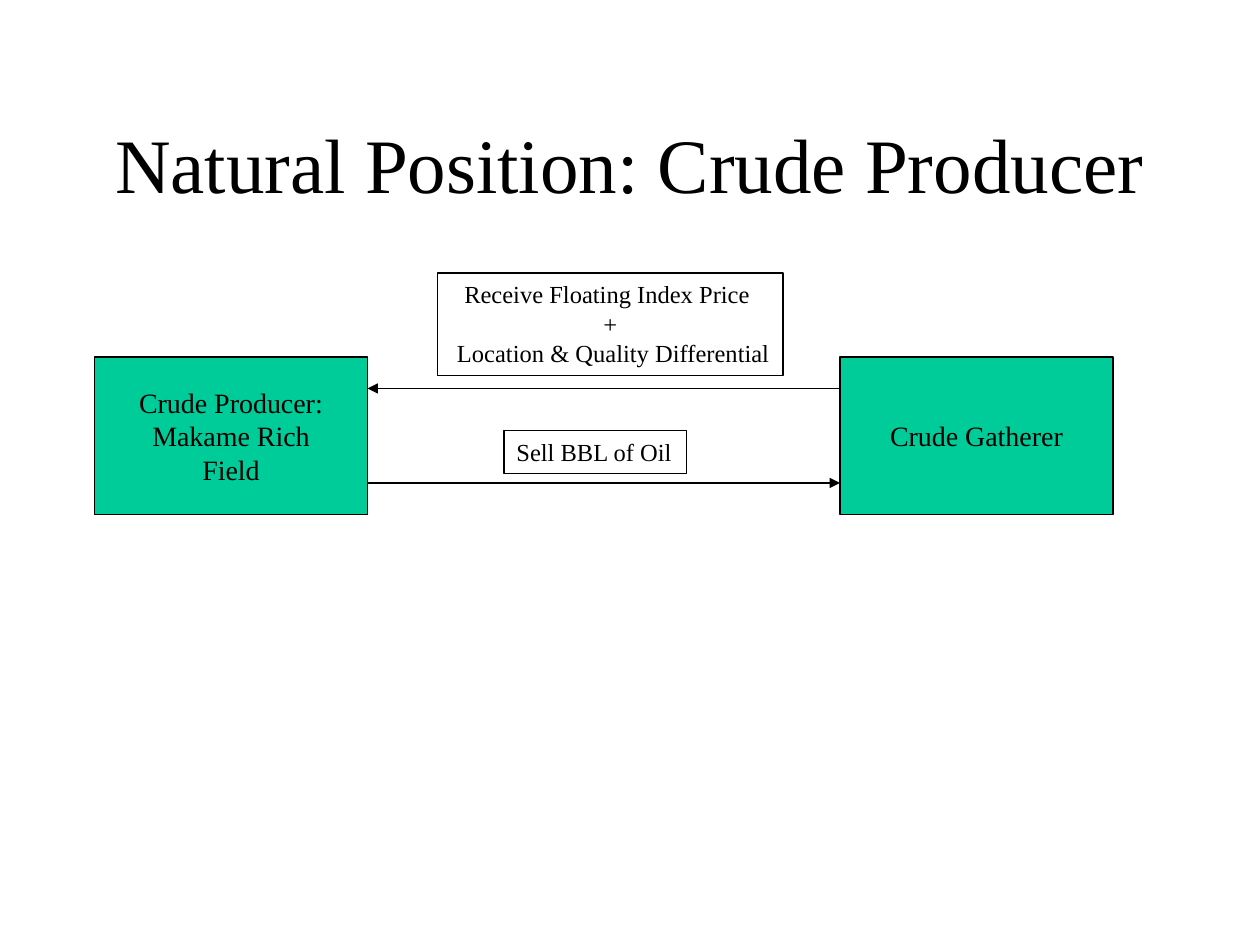
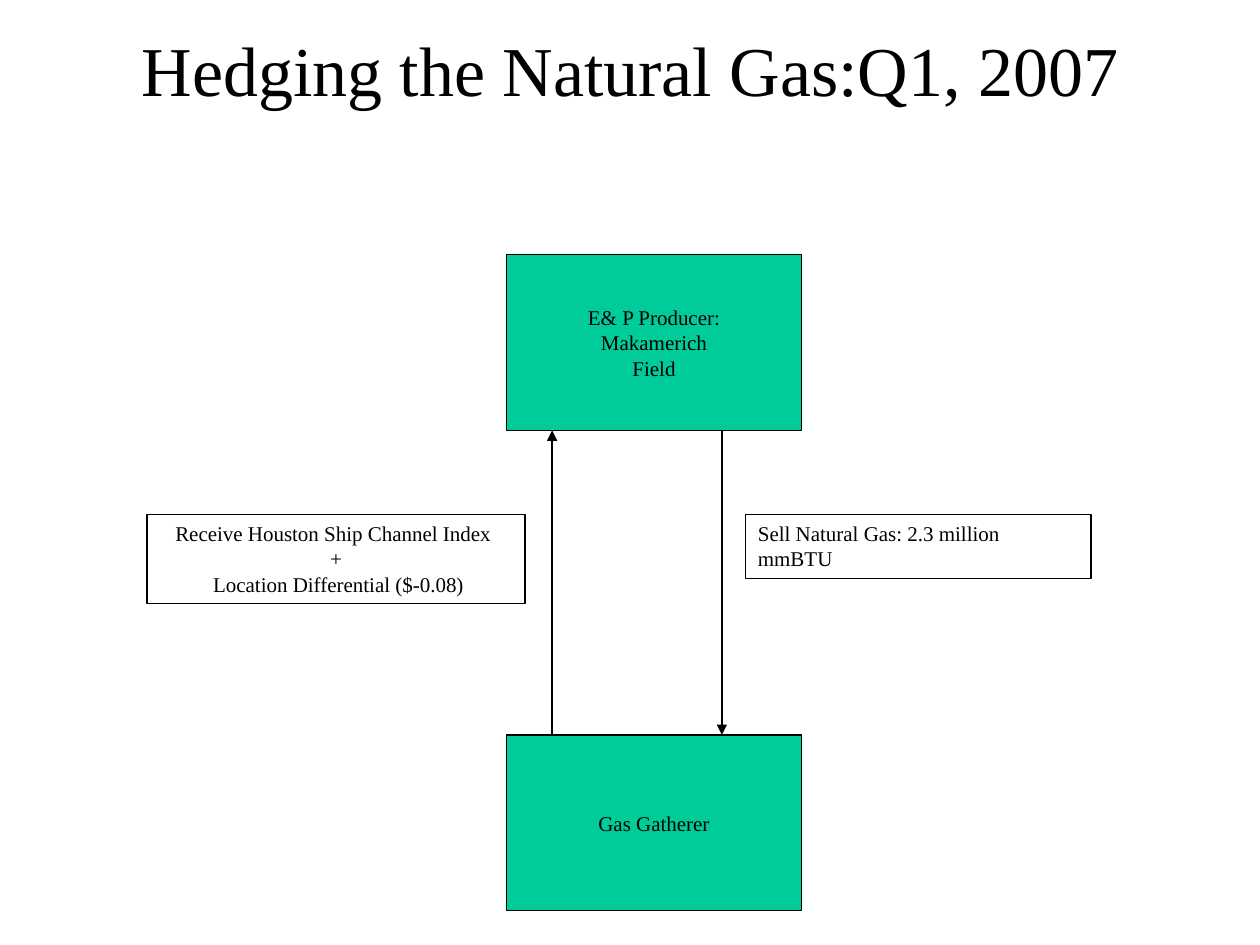
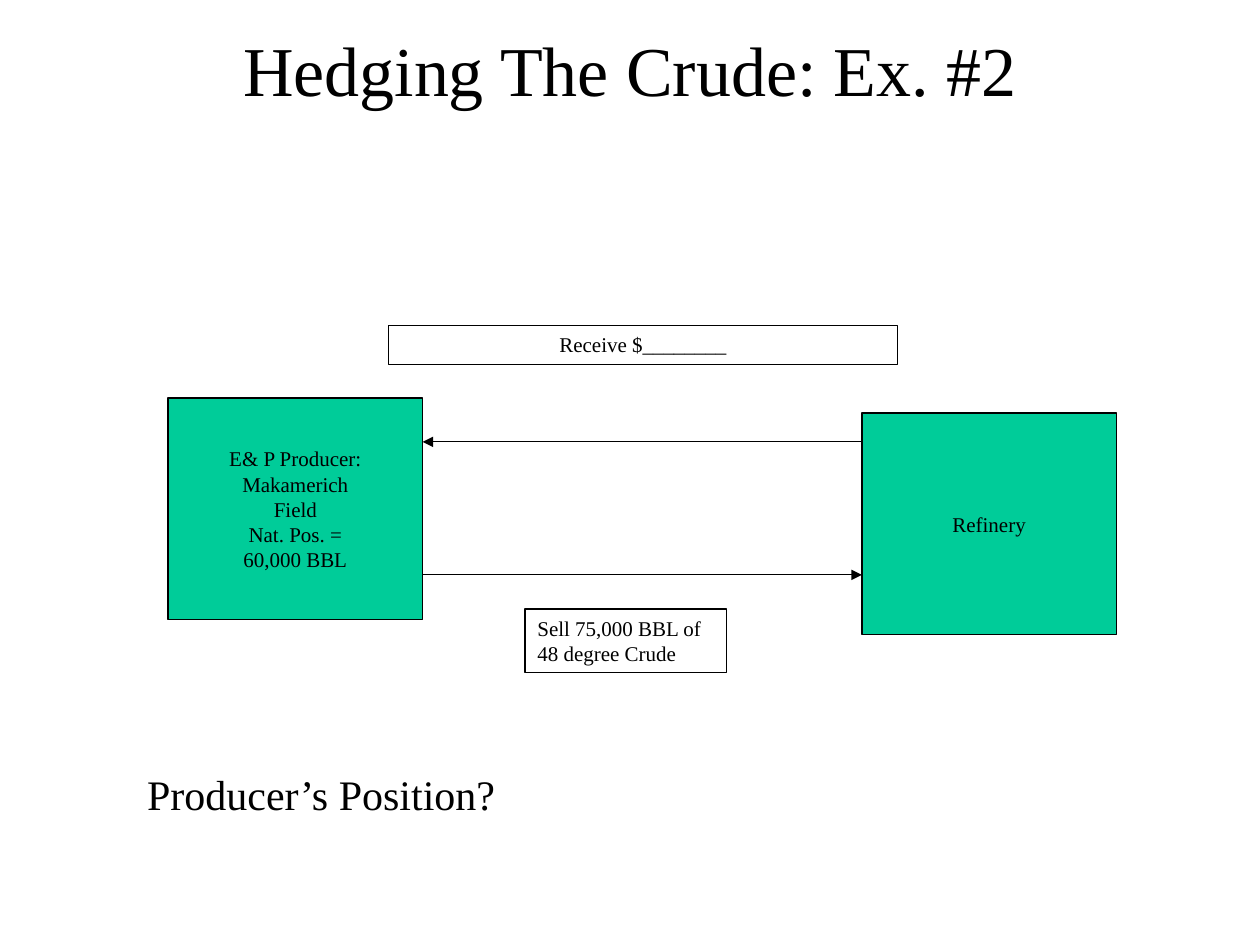
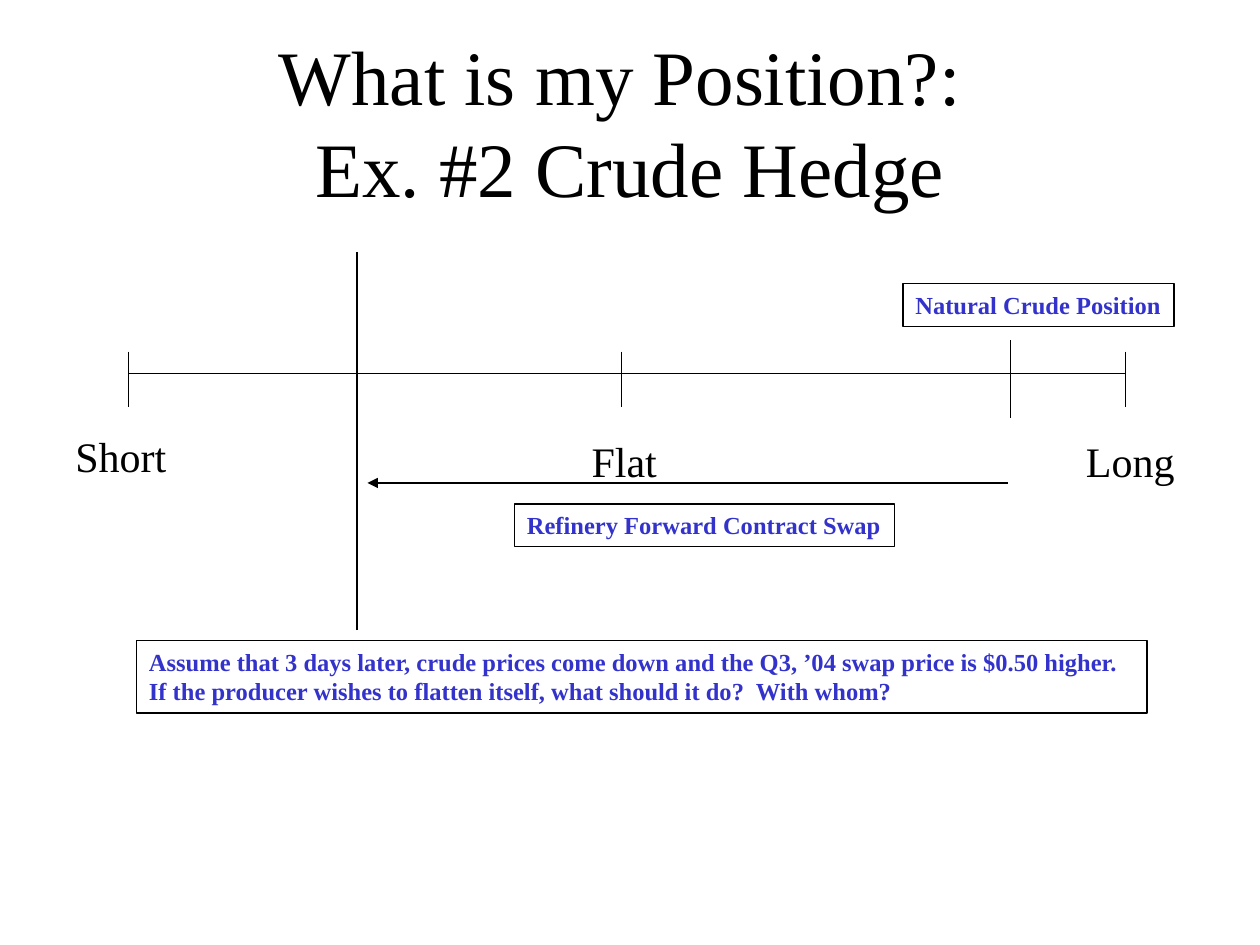
from dataclasses import dataclass

from lxml import etree
from pptx import Presentation
from pptx.dml.color import RGBColor
from pptx.enum.shapes import MSO_CONNECTOR, MSO_SHAPE
from pptx.enum.text import MSO_ANCHOR, MSO_AUTO_SIZE, PP_ALIGN
from pptx.oxml.ns import qn
from pptx.util import Pt

STRAIGHT = MSO_CONNECTOR.STRAIGHT
RECTANGLE = MSO_SHAPE.RECTANGLE
TOP, MIDDLE = MSO_ANCHOR.TOP, MSO_ANCHOR.MIDDLE
FIXED, FIT_SHAPE = MSO_AUTO_SIZE.NONE, MSO_AUTO_SIZE.SHAPE_TO_FIT_TEXT
LEFT, CENTER = PP_ALIGN.LEFT, PP_ALIGN.CENTER
TITLE_ONLY = 5


@dataclass(frozen=True)
class Theme:
    """Colours, font and sizes shared by all slides."""

    font: str = "Times New Roman"
    ink: RGBColor = RGBColor(0x00, 0x00, 0x00)
    party: RGBColor = RGBColor(0x00, 0xCC, 0x99)
    accent: RGBColor = RGBColor(0x33, 0x33, 0xCC)
    title_large: int = 44
    title: int = 40
    caption: int = 24
    party_large: int = 16
    label: int = 14
    small: int = 12
    line: float = 0.75


THEME = Theme()
FULL_TITLE = (54, 48, 612, 90)
UPPER_TITLE = (54, 24, 612, 90)
TOP_TITLE = (0, 0, 720, 78)


def points(values):
    """Convert a sequence of numbers to point lengths."""
    return [Pt(value) for value in values]


def write(shape, text, size, align=LEFT, color=THEME.ink, bold=False):
    """Fill a shape with text, one paragraph per line, and format its runs."""
    shape.text_frame.text = text
    for paragraph in shape.text_frame.paragraphs:
        paragraph.alignment = align
        for run in paragraph.runs:
            run.font.name = THEME.font
            run.font.size = Pt(size)
            run.font.bold = bold
            run.font.color.rgb = color


def outline(shape):
    """Give a shape or connector the thin black line."""
    shape.line.color.rgb = THEME.ink
    shape.line.width = Pt(THEME.line)


def add_titled_slide(presentation, text, box, size):
    """Add a title-only slide with its title placed and formatted."""
    slide = presentation.slides.add_slide(presentation.slide_layouts[TITLE_ONLY])
    title = slide.shapes.title
    title.left, title.top, title.width, title.height = points(box)
    title.text_frame.auto_size = FIXED
    title.text_frame.vertical_anchor = MIDDLE
    write(title, text, size, CENTER)
    return slide


def add_party(slide, text, box, size=THEME.small):
    """Add a green box that names one party to the trade."""
    shape = slide.shapes.add_shape(RECTANGLE, *points(box))
    shape.shadow.inherit = False
    shape.fill.solid()
    shape.fill.fore_color.rgb = THEME.party
    outline(shape)
    shape.text_frame.word_wrap = False
    shape.text_frame.vertical_anchor = MIDDLE
    write(shape, text, size, CENTER)


def add_caption(slide, text, box, size=THEME.caption, wrap=False, **style):
    """Add a plain text box that fits its text."""
    shape = slide.shapes.add_textbox(*points(box))
    shape.text_frame.word_wrap = wrap
    shape.text_frame.auto_size = FIT_SHAPE
    shape.text_frame.vertical_anchor = TOP
    write(shape, text, size, **style)
    return shape


def add_label(slide, text, box, size=THEME.small, **style):
    """Add a text box with an outline."""
    outline(add_caption(slide, text, box, size, **style))


def add_note(slide, text, box):
    """Add an outlined label in bold accent colour."""
    add_label(slide, text, box, THEME.label, color=THEME.accent, bold=True)


def add_line(slide, start, end, arrow=False):
    """Add a straight line, with an arrowhead at its end if asked."""
    connector = slide.shapes.add_connector(STRAIGHT, *points(start + end))
    outline(connector)
    if arrow:
        line = connector.line._get_or_add_ln()
        etree.SubElement(line, qn("a:tailEnd"), type="triangle")
    etree.SubElement(connector._element.spPr, qn("a:effectLst"))


def build_natural_position(presentation):
    """Show the crude producer selling to the gatherer."""
    slide = add_titled_slide(presentation, "Natural Position: Crude Producer",
                             FULL_TITLE, THEME.title_large)
    add_party(slide, "Crude Producer:\nMakame Rich\nField",
              (54, 204, 156, 90), THEME.party_large)
    add_party(slide, "Crude Gatherer", (480, 204, 156, 90), THEME.party_large)
    add_line(slide, (210, 276), (480, 276), arrow=True)
    add_line(slide, (480, 222), (210, 222), arrow=True)
    add_label(slide, "Sell BBL of Oil", (288, 246, 104.5, 24.5), THEME.label)
    add_label(slide,
              "Receive Floating Index Price \n+\n Location & Quality Differential",
              (250, 156, 197.5, 58.5), THEME.label, align=CENTER)


def build_gas_hedge(presentation):
    """Show the gas producer above the gatherer."""
    slide = add_titled_slide(presentation, "Hedging the Natural Gas:Q1, 2007",
                             TOP_TITLE, THEME.title)
    add_party(slide, "E& P Producer:\nMakamerich\nField",
              (289.5, 145.5, 168.5, 100.5))
    add_party(slide, "Gas Gatherer", (289.5, 420, 168.5, 100.5))
    add_line(slide, (315.5, 420), (315.5, 246), arrow=True)
    add_line(slide, (412.5, 246), (412.5, 420), arrow=True)
    add_label(slide,
              "Receive Houston Ship Channel Index \n+\n Location Differential ($-0.08)",
              (84, 294, 216, 51), wrap=True, align=CENTER)
    add_label(slide, "Sell Natural Gas: 2.3 million mmBTU",
              (426, 294, 197.5, 36.5), wrap=True)


def build_crude_hedge(presentation):
    """Show the crude producer selling to the refinery."""
    slide = add_titled_slide(presentation, "Hedging The Crude: Ex. #2",
                             TOP_TITLE, THEME.title)
    add_party(slide, "Refinery", (492.5, 236, 145.5, 126.5))
    add_party(slide,
              "E& P Producer:\nMakamerich\nField\nNat. Pos. =\n60,000 BBL",
              (96, 227.5, 145.5, 126.5))
    add_line(slide, (241.5, 328.5), (492.5, 328.5), arrow=True)
    add_line(slide, (492.5, 252.5), (241.5, 252.5), arrow=True)
    add_label(slide, "Sell 75,000 BBL of\n48 degree Crude", (300, 348, 115, 36.5))
    add_label(slide, "Receive $________", (222, 186, 291, 22.5),
              wrap=True, align=CENTER)
    add_caption(slide, "Producer’s Position?", (77, 435.5, 214, 36))


def build_position_scale(presentation):
    """Show the position on a scale from short to long."""
    slide = add_titled_slide(presentation,
                             "What is my Position?: \vEx. #2 Crude Hedge",
                             UPPER_TITLE, THEME.title_large)
    short, flat, long = 73.5, 355, 643
    add_line(slide, (short, 213.5), (long, 213.5))
    for tick in (short, flat, long):
        add_line(slide, (tick, 201), (tick, 232.5))
    for text, box in (("Short", (36, 242.5, 68, 36)),
                      ("Long", (613.5, 245.5, 66, 36)),
                      ("Flat", (331, 245.5, 53, 36))):
        add_caption(slide, text, box)
    add_line(slide, (576, 276), (210, 276), arrow=True)
    add_line(slide, (577.5, 194.5), (577.5, 239))
    add_note(slide, "Natural Crude Position", (516, 162, 155, 24.5))
    add_note(slide, "Refinery Forward Contract Swap", (294, 288, 217, 24.5))
    add_line(slide, (204, 360), (204, 144))
    add_note(slide,
             "Assume that 3 days later, crude prices come down and the Q3, "
             "’04 swap price is $0.50 higher.\n"
             "If the producer wishes to flatten itself, what should it do?  With whom?",
             (78, 366, 577.5, 41.5))


def main():
    """Build the four slides and save them."""
    presentation = Presentation()
    presentation.slide_width, presentation.slide_height = Pt(720), Pt(540)
    build_natural_position(presentation)
    build_gas_hedge(presentation)
    build_crude_hedge(presentation)
    build_position_scale(presentation)
    presentation.save("out.pptx")


if __name__ == "__main__":
    main()
